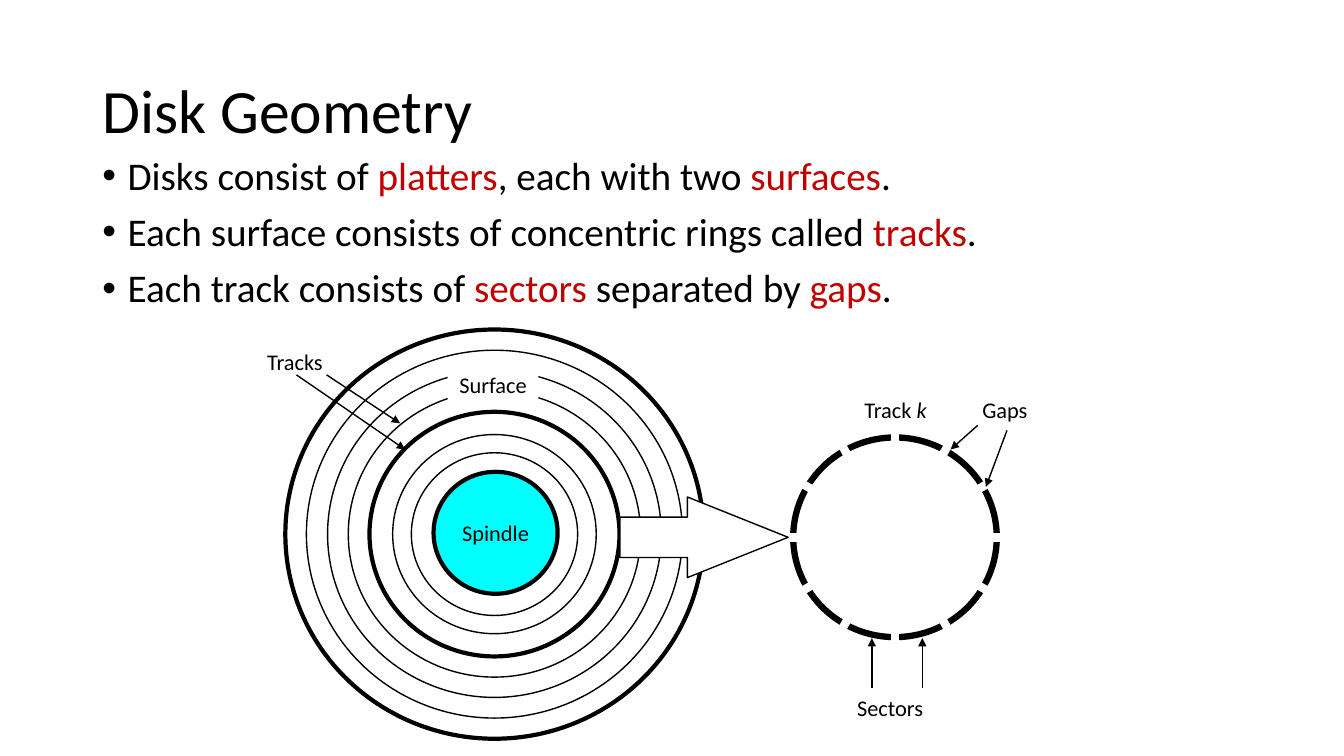
import dataclasses
import math

import pptx
import pptx.dml.color
import pptx.enum.shapes
import pptx.enum.text
import pptx.oxml
import pptx.oxml.ns
import pptx.util

Pt = pptx.util.Pt
SHAPE = pptx.enum.shapes.MSO_SHAPE
ALIGN = pptx.enum.text.PP_ALIGN
ANCHOR = pptx.enum.text.MSO_ANCHOR


@dataclasses.dataclass(frozen=True)
class Theme:
    """Colours, font and type sizes of the slide."""
    ink: str = "000000"
    paper: str = "FFFFFF"
    accent: str = "C00000"
    spindle: str = "00FFFF"
    font: str = "Calibri"
    title: float = 44
    body: float = 28
    label: float = 16
    thin: float = 1
    bold: float = 3
    track: float = 4.5
    gap: float = 6


THEME = Theme()


def rgb(colour):
    """Return a hex string as an RGB colour."""
    return pptx.dml.color.RGBColor.from_string(colour)


def write(frame, lines, *, size, align=ALIGN.LEFT, anchor=ANCHOR.MIDDLE, wrap=True,
          inset=None, spacing=None, before=None, marked_colour=THEME.ink,
          marked_italic=False):
    """Fill a text frame; parts between bars take the marked format."""
    frame.auto_size = pptx.enum.text.MSO_AUTO_SIZE.NONE
    frame.word_wrap = wrap
    frame.vertical_anchor = anchor
    if inset is not None:
        frame.margin_left = frame.margin_right = Pt(inset)
        frame.margin_top = frame.margin_bottom = Pt(inset)
    for row, line in enumerate(lines):
        paragraph = frame.add_paragraph() if row else frame.paragraphs[0]
        paragraph.alignment = align
        if spacing is not None:
            paragraph.line_spacing = spacing
        if before is not None:
            paragraph.space_before = Pt(before)
        for index, part in enumerate(line.split("|")):
            marked = index % 2 == 1
            run = paragraph.add_run()
            run.text = part
            run.font.name = THEME.font
            run.font.size = Pt(size)
            run.font.italic = marked and marked_italic
            run.font.color.rgb = rgb(marked_colour if marked else THEME.ink)


def place(placeholder, box):
    """Move a placeholder to a box."""
    placeholder.left, placeholder.top, placeholder.width, placeholder.height = map(Pt, box)


def add_figure(slide, kind, box, fill=None, line=None, weight=THEME.thin):
    """Add a preset shape without a shadow."""
    figure = slide.shapes.add_shape(kind, *map(Pt, box))
    figure.shadow.inherit = False
    if fill:
        figure.fill.solid()
        figure.fill.fore_color.rgb = rgb(fill)
    else:
        figure.fill.background()
    if line:
        figure.line.color.rgb = rgb(line)
        figure.line.width = Pt(weight)
    else:
        figure.line.fill.background()
    return figure


def add_ring(slide, centre, width, height, weight, fill=None):
    """Add an outlined ellipse around a centre."""
    box = (centre[0] - width / 2, centre[1] - height / 2, width, height)
    return add_figure(slide, SHAPE.OVAL, box, fill, THEME.ink, weight)


def add_line(slide, start, end, colour=THEME.ink, weight=THEME.thin, arrow=False):
    """Add a straight line, with an arrowhead at its end if asked."""
    line = slide.shapes.add_connector(
        pptx.enum.shapes.MSO_CONNECTOR.STRAIGHT, *map(Pt, (*start, *end)))
    line.line.color.rgb = rgb(colour)
    line.line.width = Pt(weight)
    properties = line._element.spPr
    if arrow:
        head = pptx.oxml.parse_xml(
            f'<a:tailEnd {pptx.oxml.ns.nsdecls("a")} type="triangle"/>')
        properties.find(pptx.oxml.ns.qn("a:ln")).append(head)
    properties.append(pptx.oxml.parse_xml(
        f'<a:effectLst {pptx.oxml.ns.nsdecls("a")}/>'))


def add_label(slide, text, box, fill=None):
    """Add a short centred label."""
    label = slide.shapes.add_textbox(*map(Pt, box))
    if fill:
        label.fill.solid()
        label.fill.fore_color.rgb = rgb(fill)
    write(label.text_frame, [text], size=THEME.label, align=ALIGN.CENTER,
          wrap=False, inset=0, marked_italic=True)


def add_pointers(slide, left, top, pointers):
    """Add arrows given as start and end offsets from a corner."""
    for x1, y1, x2, y2 in pointers:
        add_line(slide, (left + x1, top + y1), (left + x2, top + y2), arrow=True)


def add_heading(slide, box):
    """Place the slide title."""
    place(slide.shapes.title, box)
    write(slide.shapes.title.text_frame, ["Disk Geometry"], size=THEME.title, spacing=0.9)


def add_facts(slide, box):
    """Place the bulleted facts about disks."""
    facts = slide.placeholders[1]
    place(facts, box)
    write(facts.text_frame, [
        "Disks consist of |platters|, each with two |surfaces|.",
        "Each surface consists of concentric rings called |tracks|.",
        "Each track consists of |sectors |separated by |gaps|.",
    ], size=THEME.body, anchor=ANCHOR.TOP, spacing=0.9, before=10,
        marked_colour=THEME.accent)
    for paragraph in facts.text_frame.paragraphs:
        indents = paragraph._p.get_or_add_pPr()
        indents.set("marL", str(Pt(18)))
        indents.set("indent", str(-Pt(18)))
        indents.append(pptx.oxml.parse_xml(
            f'<a:buChar {pptx.oxml.ns.nsdecls("a")} char="•"/>'))


def add_surface(slide, box):
    """Draw the disk surface with its tracks and spindle."""
    left, top, width, height = box
    centre = (left + width / 2, top + height / 2)
    for diameter, weight in ((width, THEME.bold), (268.6, THEME.thin),
                             (238.4, THEME.thin), (208.8, THEME.thin),
                             (178.6, THEME.bold), (145.4, THEME.thin),
                             (118.8, THEME.thin)):
        add_ring(slide, centre, diameter, diameter * height / width, weight)
    spindle = add_ring(slide, (centre[0] + 0.8, centre[1] - 1), 88.6, 87.1,
                       THEME.bold, THEME.spindle)
    write(spindle.text_frame, ["Spindle"], size=THEME.label, align=ALIGN.CENTER,
          wrap=False, inset=0)
    add_label(slide, "Surface", (left + 116, top + 26, 64.8, 26.6), THEME.paper)
    add_pointers(slide, left, top, ((8, 32.4, 85.6, 85.7), (29.5, 32.4, 82, 67)))
    add_label(slide, "Tracks", (left - 21.6, top + 9.4, 56.9, 26.6))


def add_track(slide, box):
    """Draw one track cut into sectors by evenly spaced gaps."""
    left, top, width, height = box
    centre = (left + width / 2, top + height / 2)
    add_ring(slide, centre, width, height, THEME.track)
    for step in range(12):
        angle = math.radians(30 * step)
        rim = (centre[0] + 83 * math.cos(angle), centre[1] + 83 * math.sin(angle))
        add_line(slide, centre, rim, THEME.paper, THEME.gap)
    for text, x, y, breadth in (("Track |k|", 43.2, -33.1, 59.8),
                                ("Gaps", 127.5, -33.1, 47.5),
                                ("Sectors", 37.5, 179.3, 63.4)):
        add_label(slide, text.removesuffix("|"), (left + x, top + y, breadth, 26.6))
    add_pointers(slide, left, top, (
        (56.2, 179.3, 56.2, 143.3), (92.2, 179.3, 92.2, 143.3),
        (131.8, -8.7, 112.4, 8.6), (152.7, -5.1, 137.6, 35.3)))


def add_zoom(slide, box):
    """Draw the block arrow from the surface to the single track."""
    zoom = add_figure(slide, SHAPE.RIGHT_ARROW, box, THEME.paper, THEME.ink)
    zoom.adjustments[0] = 0.5
    zoom.adjustments[1] = 1.25


def main():
    """Build and save the slide."""
    deck = pptx.Presentation()
    deck.slide_width, deck.slide_height = Pt(960), Pt(540)
    slide = deck.slides.add_slide(deck.slide_layouts[1])
    add_heading(slide, (66, 28.8, 828, 104.4))
    add_facts(slide, (66, 108, 707, 391.7))
    add_surface(slide, (203.8, 235.4, 298.8, 292.3))
    add_track(slide, (566.6, 312.5, 145.4, 142.6))
    add_zoom(slide, (442.8, 355, 120.2, 57.6))
    deck.save("out.pptx")


if __name__ == "__main__":
    main()
